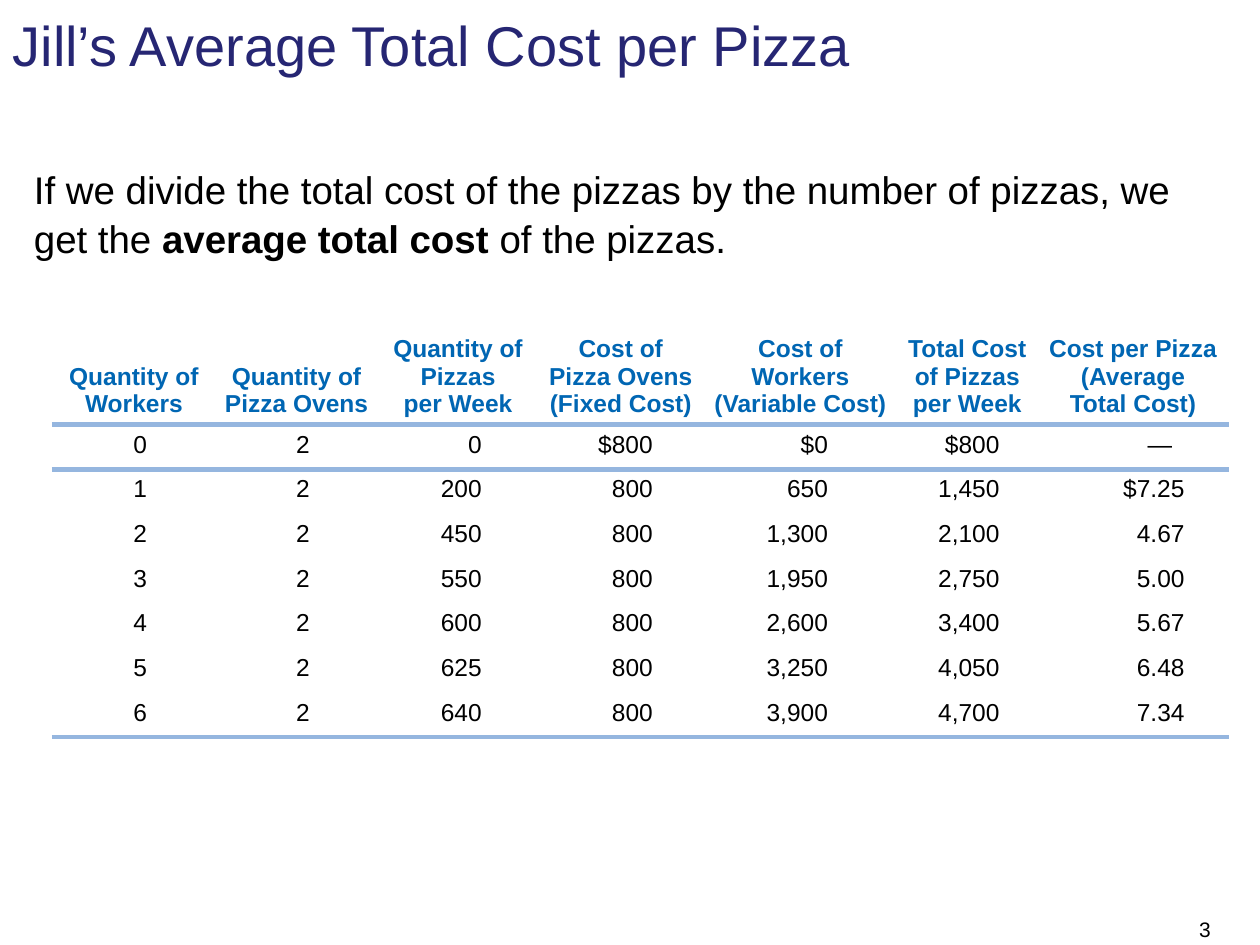
from lxml import etree
from pptx import Presentation
from pptx import util as u
from pptx.dml.color import RGBColor
from pptx.enum import shapes, text
from pptx.oxml.ns import qn


def color(value):
    return RGBColor.from_string(value)


def add_run(paragraph, words, size, ink="000000", bold=False):
    run = paragraph.add_run()
    run.text = words
    run.font.name = "Arial"
    run.font.size = u.Pt(size)
    run.font.bold = bold
    run.font.color.rgb = color(ink)


deck = Presentation()
deck.slide_width, deck.slide_height = u.Cm(25.4), u.Cm(19.05)
slide = deck.slides.add_slide(deck.slide_layouts[1])

heading, statement = slide.placeholders
heading.left, heading.top = u.Cm(0), u.Cm(0)
heading.width, heading.height = u.Cm(25.4), u.Cm(1.78)
heading.text_frame.auto_size = text.MSO_AUTO_SIZE.NONE
heading.text_frame.vertical_anchor = text.MSO_ANCHOR.MIDDLE
heading_line = heading.text_frame.paragraphs[0]
heading_line.alignment = text.PP_ALIGN.LEFT
add_run(heading_line, "Jill’s Average Total Cost per Pizza", 32, "262673")

statement.left, statement.top = u.Cm(0.43), u.Cm(3.18)
statement.width, statement.height = u.Cm(24.56), u.Cm(3.18)
statement.text_frame.auto_size = text.MSO_AUTO_SIZE.NONE
sentence = statement.text_frame.paragraphs[0]
sentence.line_spacing = 1.05
sentence.space_before, sentence.space_after = u.Pt(0), u.Pt(12)
bullet_settings = sentence._p.get_or_add_pPr()
bullet_settings.set("marL", "0")
bullet_settings.set("indent", "0")
etree.SubElement(bullet_settings, qn("a:buNone"))
add_run(sentence, "If we divide the total cost of the pizzas by the number of pizzas, we get the ", 22)
add_run(sentence, "average total cost", 22, bold=True)
add_run(sentence, " of the pizzas.", 22)

costs = [
    ["Quantity of Workers", "Quantity of\nPizza Ovens", "Quantity of\nPizzas\nper Week",
     "Cost of\nPizza Ovens (Fixed Cost)", "Cost of\nWorkers (Variable Cost)",
     "Total Cost of Pizzas\nper Week", "Cost per Pizza (Average\nTotal Cost)"],
    ["0", "2", "0", "$800", "$0", "$800", "—"],
    ["1", "2", "200", "800", "650", "1,450", "$7.25"],
    ["2", "2", "450", "800", "1,300", "2,100", "4.67"],
    ["3", "2", "550", "800", "1,950", "2,750", "5.00"],
    ["4", "2", "600", "800", "2,600", "3,400", "5.67"],
    ["5", "2", "625", "800", "3,250", "4,050", "6.48"],
    ["6", "2", "640", "800", "3,900", "4,700", "7.34"],
]
column_widths = [3.28, 3.28, 3.23, 3.33, 3.91, 2.82, 3.86]
right_insets = [0, 0, 1.14, 1.02, 1.4, 0.76, 0.89]
rule_sides = {0: "a:lnB", 1: "a:lnT", len(costs) - 1: "a:lnB"}

cost_table = slide.shapes.add_table(
    len(costs), len(column_widths), u.Cm(1.06), u.Cm(6.35), u.Cm(sum(column_widths)), u.Cm(8.5)
).table
cost_table.first_row = cost_table.horz_banding = False
for column, width in zip(cost_table.columns, column_widths):
    column.width = u.Cm(width)

for r, row in enumerate(costs):
    cost_table.rows[r].height = u.Cm(0.9 if r else 2.21)
    for c, entry in enumerate(row):
        cell = cost_table.cell(r, c)
        cell.fill.background()
        cell.margin_top = cell.margin_bottom = u.Cm(0.13)
        cell.margin_left = u.Cm(0.25 if r else 0)
        cell.margin_right = u.Cm(right_insets[c] if r else 0)
        if entry == "—":
            cell.margin_right = u.Cm(1.14)
        cell.vertical_anchor = text.MSO_ANCHOR.TOP if r else text.MSO_ANCHOR.BOTTOM
        cell_line = cell.text_frame.paragraphs[0]
        cell_line.alignment = text.PP_ALIGN.RIGHT if r and c > 1 else text.PP_ALIGN.CENTER
        for n, words in enumerate(entry.split("\n")):
            if n:
                cell_line.add_line_break()
            add_run(cell_line, words, 14, "000000" if r else "0066B3", bold=r == 0)
        if r in rule_sides:
            rule = etree.Element(qn(rule_sides[r]), w=str(u.Pt(3)))
            rule_fill = etree.SubElement(rule, qn("a:solidFill"))
            etree.SubElement(rule_fill, qn("a:srgbClr"), val="95B6DF")
            cell._tc.get_or_add_tcPr().insert(0, rule)

page_number = slide.shapes.add_shape(
    shapes.MSO_SHAPE.RECTANGLE, u.Cm(23.29), u.Cm(18.42), u.Cm(2.11), u.Cm(0.63)
)
page_number.shadow.inherit = False
page_number.fill.solid()
page_number.fill.fore_color.rgb = color("FFFFFF")
page_number.line.fill.background()
page_number.text_frame.margin_right = u.Cm(0.99)
page_number.text_frame.vertical_anchor = text.MSO_ANCHOR.MIDDLE
page_line = page_number.text_frame.paragraphs[0]
page_line.alignment = text.PP_ALIGN.RIGHT
add_run(page_line, "3", 12)

deck.save("out.pptx")
